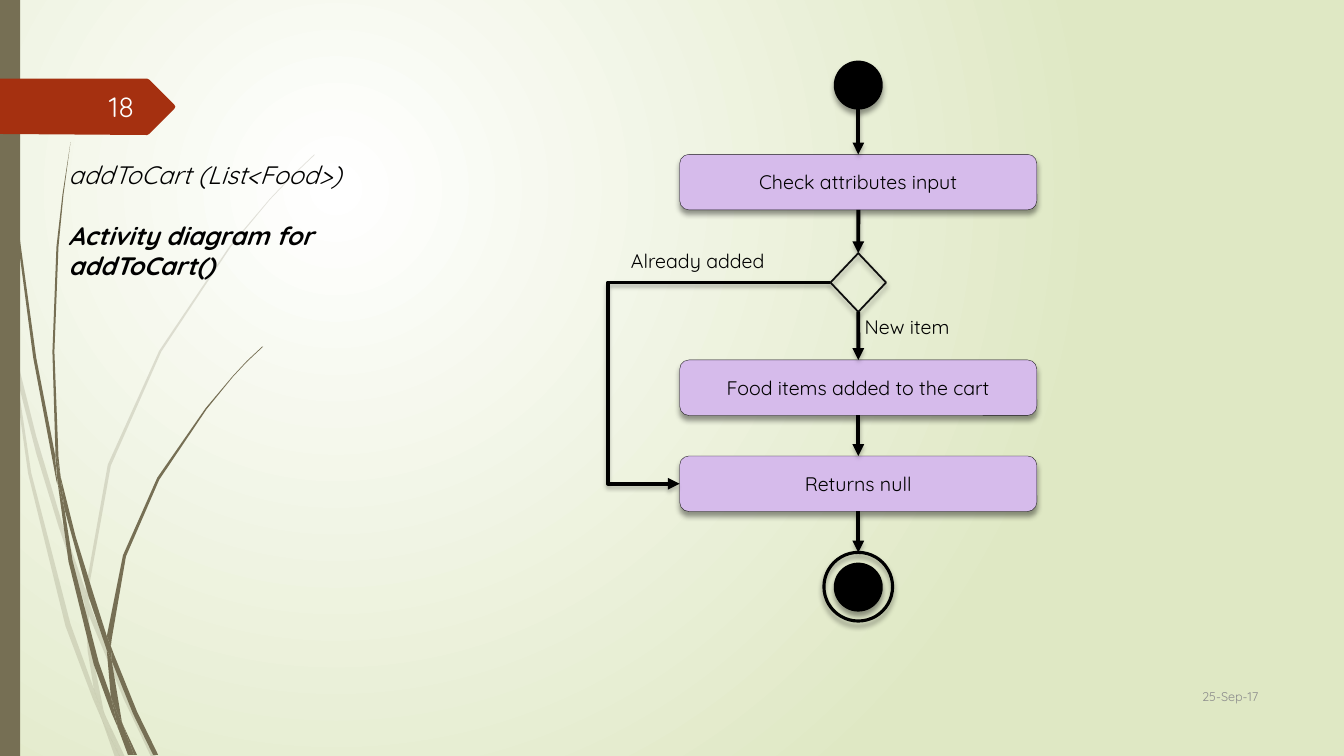
"""Build the addToCart() activity diagram slide."""
from dataclasses import dataclass
from itertools import pairwise

from lxml.etree import SubElement
from pptx import Presentation
from pptx.dml.color import RGBColor
from pptx.enum.shapes import MSO_CONNECTOR as Connector, MSO_SHAPE as Preset
from pptx.enum.text import MSO_ANCHOR as Anchor, MSO_AUTO_SIZE as AutoSize, PP_ALIGN as Align
from pptx.oxml.ns import qn
from pptx.util import Cm, Pt

FONT = "Quicksand"
COLORS = {"black": "000000", "diamond": "0D0D0D", "step": "D6BBEB", "wisp": "766F54", "tag": "A53010",
          "date": "8C8C8C", "number": "FEFFFF", "glow": "FFFFFF", "meadow": "DFE8C4"}
AXIS = 21.63
STEP_WIDTH, STEP_HEIGHT = 9, 1.4
OUTLINE_UNIT = Cm(0.0254)

FAINT_WISPS = [
    [(11, 350), (9, 322), (0, 282), (0, 299), (10, 344)],
    [(58, 522), (84, 599), (85, 586), (62, 520), (36, 433), (14, 345), (17, 376), (36, 450)],
    [(92, 607), (88, 596), (88, 610), (123, 694), (150, 751), (155, 751), (127, 692)],
    [(119, 751), (124, 751), (105, 711)],
    [(93, 683), (70, 619), (31, 469), (17, 376), (11, 350), (28, 470), (65, 621), (92, 693), (101, 714), (99, 707)],
    [(84, 599), (87, 646), (93, 683), (96, 692), (105, 711), (103, 706), (91, 646), (88, 610), (88, 608)],
    [(88, 584), (110, 462), (160, 349), (229, 245), (268, 198), (290, 175), (312, 154), (312, 153),
     (289, 175), (268, 197), (228, 244), (158, 348), (107, 461), (85, 584), (85, 586), (88, 596)],
    [(101, 714), (114, 751), (119, 751)],
    [(88, 608), (88, 610), (88, 596), (85, 586), (84, 599)],
    [(96, 692), (93, 683), (99, 707), (101, 714), (119, 751), (105, 711)],
]
DARK_WISPS = [
    [(7, 110), (17, 233), (33, 355), (56, 477), (57, 481), (55, 457), (55, 453), (36, 355), (19, 232),
     (8, 109), (5, 48), (4, 0), (3, 0), (4, 48)],
    [(88, 592), (106, 645), (106, 633), (106, 631), (93, 590), (75, 532), (60, 472), (64, 505)],
    [(113, 649), (110, 641), (111, 656), (132, 708), (152, 749), (157, 749), (136, 706)],
    [(110, 691), (98, 657), (72, 556), (64, 505), (57, 477), (68, 557), (93, 659), (111, 708), (117, 722), (116, 717)],
    [(60, 472), (58, 453), (54, 349), (58, 245), (63, 193), (70, 141), (62, 193), (56, 245), (52, 349), (55, 449)],
    [(133, 749), (136, 749), (122, 719)],
    [(57, 477), (64, 505), (60, 472), (55, 449), (55, 453)],
    [(111, 633), (125, 552), (158, 476), (205, 406), (231, 374), (245, 359), (261, 344), (260, 344),
     (245, 358), (231, 373), (204, 405), (156, 474), (122, 551), (106, 631), (110, 641)],
    [(117, 722), (127, 749), (131, 749)],
    [(106, 645), (110, 691), (116, 706), (122, 719), (121, 716), (111, 656), (109, 651)],
    [(106, 645), (109, 651), (111, 656), (110, 641), (106, 631), (106, 633)],
    [(116, 706), (110, 691), (116, 717), (117, 722), (130, 749), (133, 749), (122, 719)],
]
NUMBER_TAG = [(0, 78), (146, 78), (148, 79), (173, 104), (174, 106), (173, 108), (148, 133), (146, 134), (0, 133)]


@dataclass
class Node:
    """A shape of the flow, centred on the axis."""
    top: float
    width: float = STEP_WIDTH
    height: float = STEP_HEIGHT
    preset: Preset = Preset.FLOWCHART_ALTERNATE_PROCESS
    text: str = ""
    fill: str | None = "step"
    line: str = "black"
    line_width: float = 0.25
    line_opacity: int = 100


@dataclass
class Label:
    """A free-standing piece of text."""
    text: str
    left: float
    top: float
    width: float = 6
    height: float = 0.86
    size: float = 14
    color: str = "black"
    align: Align = Align.LEFT
    anchor: Anchor = Anchor.TOP


START = Node(1.55, 1.19, 1.19, Preset.FLOWCHART_CONNECTOR, fill="black", line_width=1.25)
CHECK = Node(3.89, text="Check attributes input", line_opacity=88)
DECISION = Node(6.38, 1.4, 1.48, Preset.DIAMOND, fill=None, line="diamond", line_width=1.25)
ADDED = Node(9.07, text="Food items added to the cart", line_opacity=88)
RETURNED = Node(11.49, text="Returns null", line_opacity=88)
END_DOT = Node(14.2, 1.19, 1.19, Preset.FLOWCHART_CONNECTOR, fill="black", line_width=1.25)
END_RING = Node(13.92, 1.73, 1.73, Preset.FLOWCHART_CONNECTOR, fill=None, line_width=2.25)
FLOW = [START, CHECK, DECISION, ADDED, RETURNED, END_RING]
LABELS = [
    Label("25-Sep-17", 28.78, 17.02, 3.18, 1.04, 9, "date", Align.RIGHT, Anchor.MIDDLE),
    Label("18", 1.47, 2.18, 2.16, 1.02, 20, "number", Align.RIGHT, Anchor.MIDDLE),
    Label("Already added", 15.65, 6.15),
    Label("New item", 21.54, 7.8),
]


def rgb(name: str) -> RGBColor:
    """Look up a named colour."""
    return RGBColor.from_string(COLORS[name])


def set_opacity(element, percent: int) -> None:
    """Make every plain colour below an element partly transparent."""
    for color in element.iter(qn("a:srgbClr")):
        SubElement(color, qn("a:alpha"), val=str(percent * 1000))


def add_shadow(shape, opacity: int, blur: float, distance: float) -> None:
    """Give a shape or connector a soft shadow straight below it."""
    effects = SubElement(shape.element.spPr, qn("a:effectLst"))
    shadow = SubElement(effects, qn("a:outerShdw"), blurRad=str(Pt(blur)), dist=str(Pt(distance)),
                        dir="5400000", algn="ctr", rotWithShape="0")
    SubElement(shadow, qn("a:srgbClr"), val=COLORS["black"])
    set_opacity(shadow, opacity)


def add_run(paragraph, text: str, size: float, color: str = "black", **style: bool) -> None:
    """Append a formatted run."""
    run = paragraph.add_run()
    run.text = text
    run.font.name, run.font.size = FONT, Pt(size)
    run.font.color.rgb = rgb(color)
    for name, value in style.items():
        setattr(run.font, name, value)


def paint(shape, color: str) -> None:
    """Fill a decoration flatly, without outline or shadow."""
    shape.fill.solid()
    shape.fill.fore_color.rgb = rgb(color)
    shape.line.fill.background()
    shape.shadow.inherit = False


def add_outline(slide, points: list[tuple[int, int]], color: str, opacity: int = 100) -> None:
    """Draw a closed decoration from grid points."""
    builder = slide.shapes.build_freeform(*points[0], scale=OUTLINE_UNIT)
    builder.add_line_segments(points[1:], close=True)
    shape = builder.convert_to_shape()
    paint(shape, color)
    if opacity < 100:
        set_opacity(shape.element.spPr, opacity)


def add_background(slide) -> None:
    """Fill the background with a round glow at the upper left."""
    fill = slide.background.fill
    fill.gradient()
    for stop, color in zip(fill.gradient_stops, ("glow", "meadow")):
        stop.color.rgb = rgb(color)
    linear = slide.element.find(".//" + qn("a:lin"))
    gradient = linear.getparent()
    gradient.remove(linear)
    circle = SubElement(gradient, qn("a:path"), path="circle")
    SubElement(circle, qn("a:fillToRect"), l="50000", t="50000", r="100000", b="100000")


def add_title(slide) -> None:
    """Place the two-part heading in front of the wisps."""
    title = slide.shapes.title
    title.left, title.top, title.width, title.height = Cm(1.47), Cm(3.89), Cm(8.66), Cm(3.33)
    frame = title.text_frame
    frame.word_wrap, frame.auto_size, frame.vertical_anchor = True, AutoSize.SHAPE_TO_FIT_TEXT, Anchor.TOP
    method, heading = frame.paragraphs[0], frame.add_paragraph()
    method.alignment = heading.alignment = Align.LEFT
    heading.space_before = Pt(22)
    add_run(method, "addToCart (List<Food>)", 18, italic=True, bold=False)
    add_run(heading, "Activity diagram for addToCart()", 18, italic=True, bold=True)
    title.element.getparent().append(title.element)


def add_label(slide, label: Label) -> None:
    """Draw a text label."""
    box = slide.shapes.add_textbox(Cm(label.left), Cm(label.top), Cm(label.width), Cm(label.height))
    frame = box.text_frame
    frame.word_wrap, frame.vertical_anchor = True, label.anchor
    frame.paragraphs[0].alignment = label.align
    add_run(frame.paragraphs[0], label.text, label.size, label.color)


def add_node(slide, node: Node):
    """Draw a node of the flow and return its shape."""
    shape = slide.shapes.add_shape(node.preset, Cm(AXIS - node.width / 2), Cm(node.top),
                                   Cm(node.width), Cm(node.height))
    if node.fill:
        shape.fill.solid()
        shape.fill.fore_color.rgb = rgb(node.fill)
    else:
        shape.fill.background()
    shape.line.color.rgb = rgb(node.line)
    shape.line.width = Pt(node.line_width)
    if node.line_opacity < 100:
        set_opacity(shape.element.spPr.find(qn("a:ln")), node.line_opacity)
    add_shadow(shape, 40, 4, 3)
    if node.text:
        frame = shape.text_frame
        frame.vertical_anchor = Anchor.MIDDLE
        frame.paragraphs[0].alignment = Align.CENTER
        add_run(frame.paragraphs[0], node.text, 14)
    return shape


def add_arrow(slide, kind: Connector, begin: tuple[float, float], end: tuple[float, float]):
    """Draw a black arrow between two points and return its connector."""
    arrow = slide.shapes.add_connector(kind, *map(Cm, begin + end))
    arrow.line.color.rgb = rgb("black")
    arrow.line.width = Pt(2.8)
    SubElement(arrow.element.spPr.find(qn("a:ln")), qn("a:tailEnd"), type="triangle")
    add_shadow(arrow, 25, 3, 2)
    return arrow


def add_flow(slide) -> None:
    """Draw the nodes, the arrows down the axis and the bypass."""
    shapes = [add_node(slide, node) for node in FLOW]
    add_node(slide, END_DOT)
    for (source, source_shape), (target, target_shape) in pairwise(zip(FLOW, shapes)):
        arrow = add_arrow(slide, Connector.STRAIGHT, (AXIS, source.top + source.height), (AXIS, target.top))
        if source is not START:
            arrow.begin_connect(source_shape, 2)
        arrow.end_connect(target_shape, 0)
    bypass = add_arrow(slide, Connector.ELBOW,
                       (AXIS - DECISION.width / 2, DECISION.top + DECISION.height / 2),
                       (AXIS - STEP_WIDTH / 2, RETURNED.top + STEP_HEIGHT / 2))
    guides = bypass.element.spPr.find(qn("a:prstGeom")).get_or_add_avLst()
    SubElement(guides, qn("a:gd"), name="adj1", fmla="val 147500")


def main() -> None:
    """Build and save the presentation."""
    presentation = Presentation()
    presentation.slide_width, presentation.slide_height = Cm(33.87), Cm(19.05)
    slide = presentation.slides.add_slide(presentation.slide_layouts[5])
    add_background(slide)
    for points in FAINT_WISPS:
        add_outline(slide, points, "wisp", 20)
    for points in DARK_WISPS:
        add_outline(slide, points, "wisp")
    paint(slide.shapes.add_shape(Preset.RECTANGLE, 0, 0, Cm(0.51), Cm(19.05)), "wisp")
    add_outline(slide, NUMBER_TAG, "tag")
    add_title(slide)
    add_flow(slide)
    for label in LABELS:
        add_label(slide, label)
    presentation.save("out.pptx")


if __name__ == "__main__":
    main()
